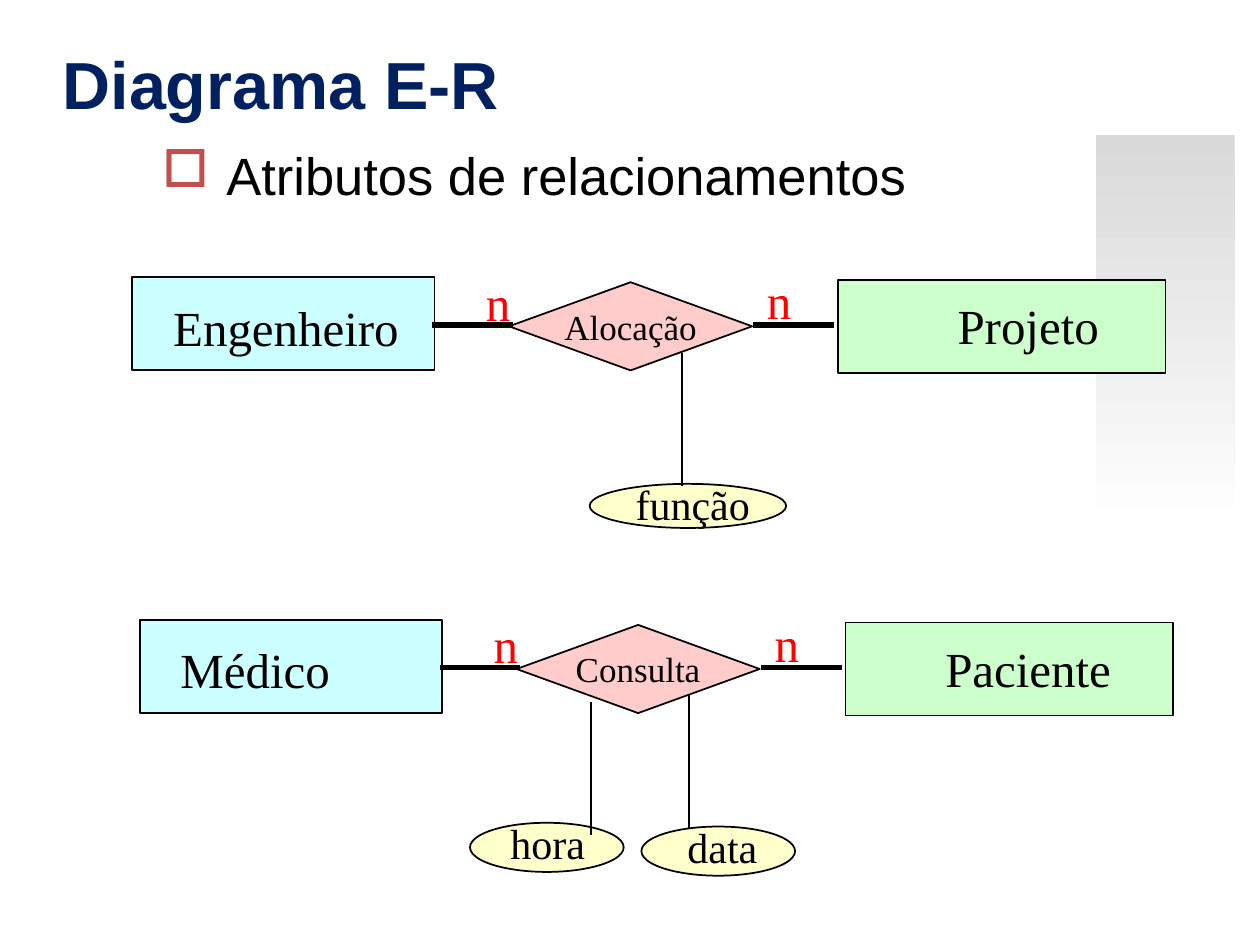
from lxml.etree import SubElement
from pptx import Presentation
from pptx.dml.color import RGBColor
from pptx.enum.shapes import MSO_CONNECTOR, MSO_SHAPE
from pptx.enum.text import MSO_ANCHOR, PP_ALIGN
from pptx.oxml.ns import qn
from pptx.util import Inches, Pt

# Content: each row has an origin, its names, and its attributes.
# Entity: name, text left, text width
# Attribute: name, oval box, text box, line x, line top
ROWS = [
    {"at": (1.05, 2.2), "left": ("Engenheiro", 1.26, 2.02),
     "link": "Alocação", "right": ("Projeto", 7.49, 1.34),
     "attrs": [("função", (4.68, 3.84, 1.56, 0.35),
                (4.94, 3.75, 1.11, 0.5), 5.41, 2.8)]},
    {"at": (1.11, 4.92), "left": ("Médico", 1.32, 1.41),
     "link": "Consulta", "right": ("Paciente", 7.39, 1.54),
     "attrs": [("data", (5.09, 6.56, 1.22, 0.39),
                (5.35, 6.47, 0.76, 0.5), 5.47, 5.52),
               ("hora", (3.73, 6.53, 1.22, 0.39),
                (3.95, 6.44, 0.79, 0.5), 4.69, 5.57)]},
]
SERIF = "Times New Roman"
DROP = 1.06  # length of each attribute line

deck = Presentation()
deck.slide_width, deck.slide_height = Inches(10), Inches(7.5)
slide = deck.slides.add_slide(deck.slide_layouts[6])
shapes = slide.shapes


def color(code):
    return RGBColor.from_string(code)


def write(frame, text, size=28, font=SERIF, ink="000000", bold=False,
          align=PP_ALIGN.CENTER, anchor=MSO_ANCHOR.TOP, wrap=False):
    frame.word_wrap = wrap
    frame.vertical_anchor = anchor
    para = frame.paragraphs[0]
    para.alignment = align
    run = para.add_run()
    run.text = text
    run.font.size, run.font.name, run.font.bold = Pt(size), font, bold
    run.font.color.rgb = color(ink)
    return para


def label(box, text, **style):
    frame = shapes.add_textbox(*map(Inches, box)).text_frame
    return write(frame, text, **style)


def block(kind, box, fill):
    shape = shapes.add_shape(kind, *map(Inches, box))
    shape.shadow.inherit = False
    shape.fill.solid()
    shape.fill.fore_color.rgb = color(fill)
    shape.line.color.rgb = color("000000")
    shape.line.width = Pt(1)
    return shape


def line(x1, y1, x2, y2, width):
    rule = shapes.add_connector(MSO_CONNECTOR.STRAIGHT,
                                *map(Inches, (x1, y1, x2, y2)))
    rule.line.color.rgb = color("000000")
    rule.line.width = Pt(width)
    SubElement(rule._element.spPr, qn("a:effectLst"))


# Fading side band
band = shapes.add_shape(MSO_SHAPE.RECTANGLE,
                        *map(Inches, (8.7, 1.07, 1.1, 6.22)))
band.shadow.inherit = False
band.line.fill.background()
band.fill.gradient()
band.fill.gradient_angle = 270
for stop, place, code in zip(band.fill.gradient_stops, (0, 0.5),
                             ("D9D9D9", "FFFFFF")):
    stop.position = place
    stop.color.rgb = color(code)

# Title and bullet
label((0.3, 0.03, 3.76, 1.25), "Diagrama E-R", size=38, font="Arial",
      ink="002060", bold=True, align=PP_ALIGN.RIGHT,
      anchor=MSO_ANCHOR.MIDDLE)
point = label((0, 1.09, 8.48, 0.84), "Atributos de relacionamentos",
              size=30, font="Arial", wrap=True)
point.space_before = Pt(6)
props = point._p.get_or_add_pPr()
props.set("marL", str(Inches(0.51)))
props.set("indent", str(Inches(-0.51)))
tint = SubElement(props, qn("a:buClr"))
SubElement(tint, qn("a:srgbClr"), val="C0504D")
SubElement(props, qn("a:buChar"), char="□")

# Entities, relationships and attributes
for row in ROWS:
    x, y = row["at"]
    sides = (("left", x, y, "CCFFFF", 0.11),
             ("right", x + 5.6, y + 0.02, "CCFFCC", 0.1))
    for side, left, top, fill, gap in sides:
        name, start, wide = row[side]
        span = 2.4 if side == "left" else 2.6
        block(MSO_SHAPE.RECTANGLE, (left, top, span, 0.74), fill)
        label((start, y + gap, wide, 0.57), name)
    link = block(MSO_SHAPE.DIAMOND, (x + 2.99, y + 0.04, 1.93, 0.7), "FFCCCC")
    write(link.text_frame, row["link"], size=20, anchor=MSO_ANCHOR.MIDDLE)
    for start, mark, lift in ((2.38, 2.7, 0.09), (4.93, 4.93, 0.1)):
        label((x + mark, y - lift, 0.4, 0.57), "n", ink="FF0000",
              align=PP_ALIGN.RIGHT)
        line(x + start, y + 0.38, x + start + 0.64, y + 0.38, 3)
    for name, oval, box, stem, top in row["attrs"]:
        block(MSO_SHAPE.OVAL, oval, "FFFFCC")
        line(stem, top, stem, top + DROP, 1)
        label(box, name, size=24, align=PP_ALIGN.RIGHT)

deck.save("out.pptx")
